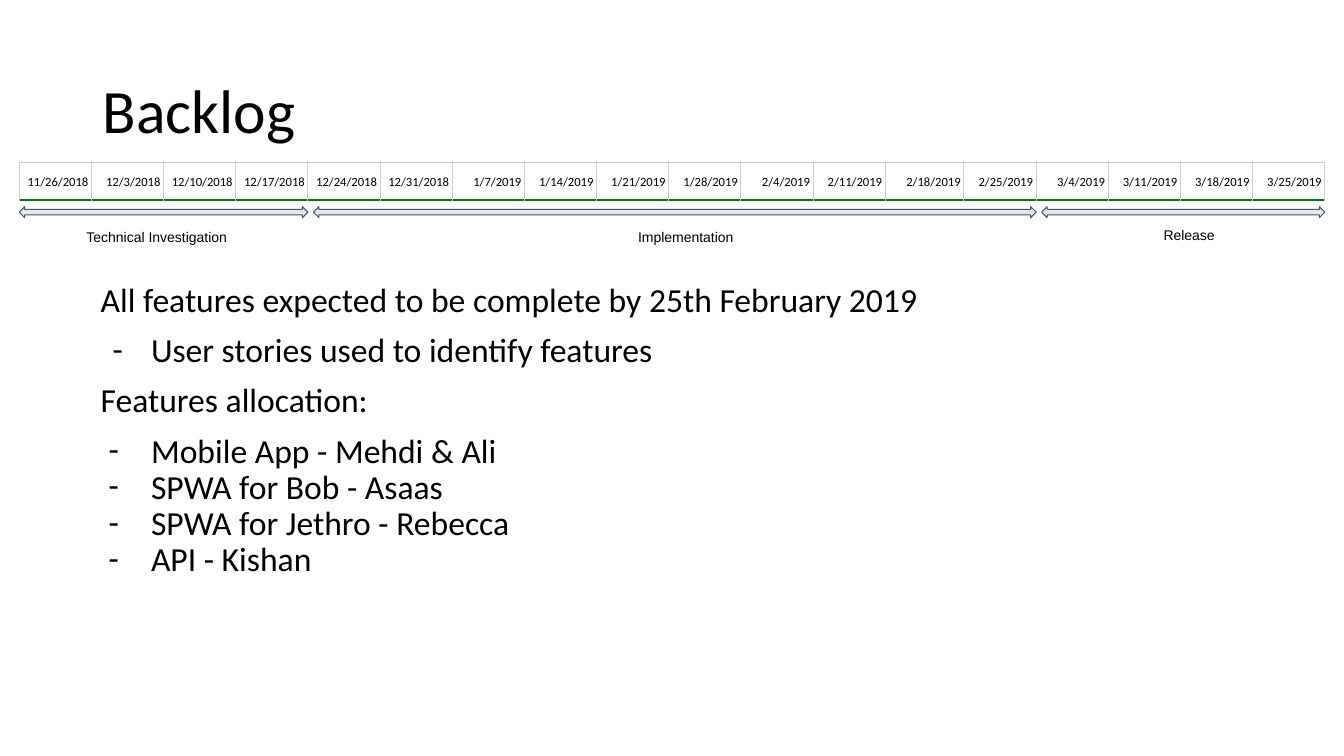
import collections

import lxml.etree
import pptx
import pptx.dml.color
import pptx.enum.shapes
import pptx.enum.text
import pptx.oxml.ns
import pptx.util

Align = pptx.enum.text.PP_ALIGN
Anchor = pptx.enum.text.MSO_ANCHOR
Box = collections.namedtuple("Box", "left top width height")

BLACK = pptx.dml.color.RGBColor(0x00, 0x00, 0x00)
PALE = pptx.dml.color.RGBColor(0xE7, 0xE6, 0xE6)
SLATE = pptx.dml.color.RGBColor(0x44, 0x54, 0x6A)
SILVER = pptx.dml.color.RGBColor(0xCC, 0xCC, 0xCC)
GREEN = pptx.dml.color.RGBColor(0x00, 0x80, 0x00)

WIDTH, HEIGHT = pptx.util.Inches(13.33), pptx.util.Inches(7.5)
COLUMNS, ROWS = 1333, 750
COLUMN, ROW = WIDTH / COLUMNS, HEIGHT / ROWS

TITLE_BOX = Box(92, 40, 1150, 145)
TIMELINE_BOX = Box(19, 161, 1295, 55)
BODY_BOX = Box(90, 276, 1150, 399)

WEEKS = """11/26/2018 12/3/2018 12/10/2018 12/17/2018 12/24/2018 12/31/2018
1/7/2019 1/14/2019 1/21/2019 1/28/2019 2/4/2019 2/11/2019 2/18/2019 2/25/2019
3/4/2019 3/11/2019 3/18/2019 3/25/2019""".split()
WIDE_WEEK, WIDE_WIDTH = 12, 78
DATE_HEIGHT, ARROW_DROP, ARROW_HEIGHT, ARROW_GAP = 22, 44, 11, 5.5

Phase = collections.namedtuple("Phase", "name first end label indent")
PHASES = [
    Phase("Technical Investigation", 0, 4, Box(57, 57, 203, 25), 10),
    Phase("Implementation", 4, 14, Box(604, 57, 203, 25), 10),
    Phase("Release", 14, 18, Box(1083, 55, 143, 25), 52),
]

Line = collections.namedtuple("Line", "text hang before")
BODY = [
    Line("All features expected to be complete by 25th February 2019", 0, 10),
    Line("User stories used to identify features", 38, 10),
    Line("Features allocation:", 0, 10),
    Line("Mobile App - Mehdi & Ali", 42, 10),
    Line("SPWA for Bob - Asaas", 42, 0),
    Line("SPWA for Jethro - Rebecca", 42, 0),
    Line("API - Kishan", 42, 0),
]
BULLET_INDENT = 50


def apply(target, values):
    for name, value in values.items():
        setattr(target, name, value)


def place(box):
    return (round(box.left * COLUMN), round(box.top * ROW),
            round(box.width * COLUMN), round(box.height * ROW))


def add_element(parent, tag, **attributes):
    return lxml.etree.SubElement(parent, pptx.oxml.ns.qn(tag), attributes)


def write(para, text, font, size, **layout):
    apply(para, layout)
    span = para.add_run()
    span.text = text
    apply(span.font, {"name": font, "size": pptx.util.Pt(size)})
    span.font.color.rgb = BLACK


def add_text_frame(page, box, across, down, anchor=Anchor.TOP):
    frame = page.shapes.add_textbox(*place(box)).text_frame
    apply(frame, {
        "word_wrap": True, "vertical_anchor": anchor,
        "margin_left": round(across * COLUMN), "margin_right": round(10 * COLUMN),
        "margin_top": round(down * ROW), "margin_bottom": round(down * ROW),
    })
    return frame


def add_bullet(para, hang):
    properties = para._p.get_or_add_pPr()
    properties.set("marL", str(round(BULLET_INDENT * COLUMN)))
    properties.set("indent", str(round(-hang * COLUMN)))
    color = add_element(properties, "a:buClr")
    add_element(color, "a:srgbClr", val=str(BLACK))
    add_element(properties, "a:buFont", typeface="Calibri")
    add_element(properties, "a:buChar", char="-")


def add_border(cell, side, color, points):
    line = add_element(cell._tc.get_or_add_tcPr(), "a:ln" + side,
                       w=str(int(pptx.util.Pt(points))))
    fill = add_element(line, "a:solidFill")
    add_element(fill, "a:srgbClr", val=str(color))


def add_title(page, box):
    frame = add_text_frame(page, box, 10, 5, Anchor.MIDDLE)
    write(frame.paragraphs[0], "Backlog", "Calibri", 44, line_spacing=0.9)


def add_dates(page, box, widths):
    table = page.shapes.add_table(1, len(WEEKS), *place(box)).table
    apply(table, {"first_row": False, "horz_banding": False})
    table.rows[0].height = round(box.height * ROW)
    for index, (week, width) in enumerate(zip(WEEKS, widths)):
        table.columns[index].width = round(width * COLUMN)
        cell = table.cell(0, index)
        apply(cell, {
            "vertical_anchor": Anchor.BOTTOM,
            "margin_left": round(3 * COLUMN), "margin_right": round(3 * COLUMN),
            "margin_top": round(10 * ROW), "margin_bottom": round(10 * ROW),
        })
        for side in "LRT":
            add_border(cell, side, SILVER, 0.75)
        add_border(cell, "B", GREEN, 2.25)
        cell.fill.background()
        write(cell.text_frame.paragraphs[0], week, "Calibri", 9,
              alignment=Align.RIGHT, line_spacing=1.15)


def add_arrow(page, box):
    arrow = page.shapes.add_shape(
        pptx.enum.shapes.MSO_SHAPE.LEFT_RIGHT_ARROW, *place(box))
    arrow.shadow.inherit = False
    arrow.fill.solid()
    arrow.fill.fore_color.rgb = PALE
    arrow.line.color.rgb = SLATE
    arrow.line.width = pptx.util.Pt(0.75)


def add_timeline(page, box):
    widths = [(box.width - WIDE_WIDTH) / (len(WEEKS) - 1)] * len(WEEKS)
    widths[WIDE_WEEK] = WIDE_WIDTH
    add_dates(page, box._replace(height=DATE_HEIGHT), widths)
    for phase in PHASES:
        start = sum(widths[:phase.first]) + (ARROW_GAP if phase.first else 0)
        end = sum(widths[:phase.end])
        add_arrow(page, Box(box.left + start, box.top + ARROW_DROP,
                            end - start, ARROW_HEIGHT))
        label = phase.label._replace(left=box.left + phase.label.left,
                                     top=box.top + phase.label.top)
        frame = add_text_frame(page, label, phase.indent, 10)
        write(frame.paragraphs[0], phase.name, "Arial", 10)


def add_body(page, box):
    frame = add_text_frame(page, box, 10, 5)
    for index, line in enumerate(BODY):
        para = frame.add_paragraph() if index else frame.paragraphs[0]
        write(para, line.text, "Calibri", 24, line_spacing=0.9,
              space_before=pptx.util.Pt(line.before))
        if line.hang:
            add_bullet(para, line.hang)


def main():
    deck = pptx.Presentation()
    apply(deck, {"slide_width": WIDTH, "slide_height": HEIGHT})
    page = deck.slides.add_slide(deck.slide_layouts[6])
    add_title(page, TITLE_BOX)
    add_body(page, BODY_BOX)
    add_timeline(page, TIMELINE_BOX)
    deck.save("out.pptx")


if __name__ == "__main__":
    main()
